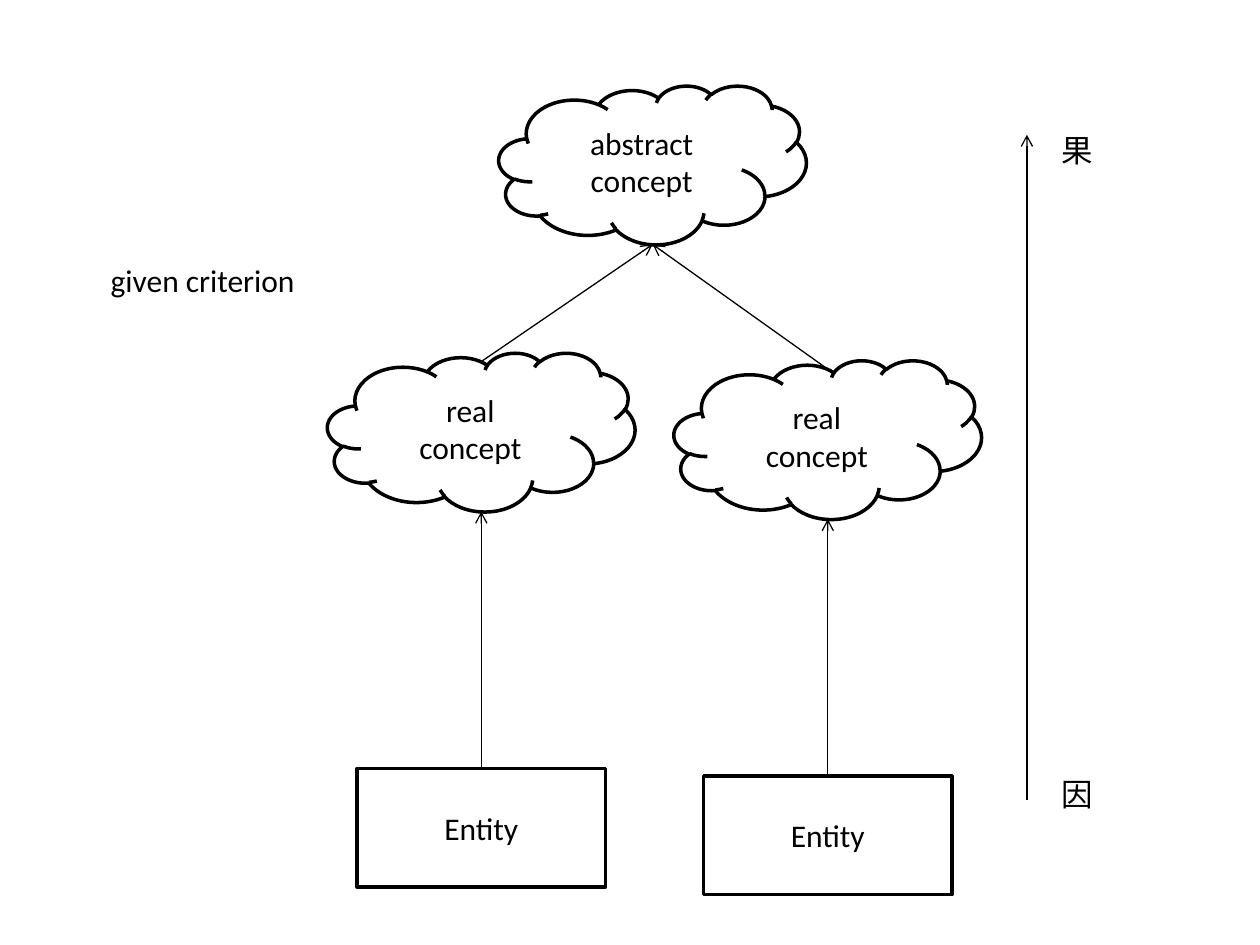
from pptx import Presentation
from pptx.dml.color import RGBColor
from pptx.enum.shapes import MSO_CONNECTOR as Connector, MSO_SHAPE as Shape
from pptx.enum.text import MSO_ANCHOR as Anchor, MSO_AUTO_SIZE as AutoSize, PP_ALIGN as Align
from pptx.oxml.ns import qn
from pptx.util import Inches, Pt
from lxml.etree import SubElement

INK, PAPER = "000000", "FFFFFF"
BOTTOM_OF_BRANCH = 4.24
CLOUD_W, CLOUD_H = 2.44, 1.26
ENTITY_W, ENTITY_H = 1.97, 0.94


def paint(color_format, hex_code):
    color_format.rgb = RGBColor.from_string(hex_code)


def write(frame, wording, align):
    frame.text = wording
    for paragraph in frame.paragraphs:
        paragraph.alignment = align
        for run in paragraph.runs:
            run.font.name = "Calibri"
            run.font.size = Pt(18)
            paint(run.font.color, INK)


def add_node(shapes, kind, wording, left, top, width, height):
    node = shapes.add_shape(kind, *map(Inches, (left, top, width, height)))
    node.shadow.inherit = False
    node.fill.solid()
    paint(node.fill.fore_color, PAPER)
    paint(node.line.color, INK)
    node.line.width = Pt(2)
    node.text_frame.vertical_anchor = Anchor.MIDDLE
    write(node.text_frame, wording, Align.CENTER)
    return node


def add_label(shapes, wording, left, top, width, height=0.4):
    label = shapes.add_textbox(*map(Inches, (left, top, width, height)))
    label.text_frame.word_wrap = False
    label.text_frame.auto_size = AutoSize.SHAPE_TO_FIT_TEXT
    write(label.text_frame, wording, Align.LEFT)


def add_arrow(shapes, start, end):
    arrow = shapes.add_connector(Connector.STRAIGHT, *map(Inches, (*start, *end)))
    paint(arrow.line.color, INK)
    arrow.line.width = Pt(0.75)
    SubElement(arrow.line._get_or_add_ln(), qn("a:tailEnd"), type="arrow")
    SubElement(arrow._element.spPr, qn("a:effectLst"))
    return arrow


def add_branch(shapes, left, top, width, height):
    center = left + width / 2
    entity_top = top + height - ENTITY_H
    add_node(shapes, Shape.CLOUD, "real\nconcept", left, top, width, CLOUD_H)
    entity = add_node(shapes, Shape.RECTANGLE, "Entity",
                      center - ENTITY_W / 2, entity_top, ENTITY_W, ENTITY_H)
    rise = add_arrow(shapes, (center, entity_top), (center, top + CLOUD_H))
    rise.begin_connect(entity, 0)
    return center, top + 0.07


def add_abstraction(shapes, left, top, width, height, branch_tops):
    add_node(shapes, Shape.CLOUD, "abstract\nconcept", left, top, width, height)
    for branch_top in branch_tops:
        add_arrow(shapes, branch_top, (left + width / 2, top + height))


def add_causal_axis(shapes, left, top, width, height):
    axis = shapes.add_group_shape().shapes
    label_w = 0.45
    label_left = left + width - label_w
    add_arrow(axis, (left, top + height - 0.15), (left, top + 0.08))
    add_label(axis, "因", label_left, top + height - 0.4, label_w)
    add_label(axis, "果", label_left, top, label_w)


def main():
    deck = Presentation()
    deck.slide_width, deck.slide_height = Inches(10), Inches(7.5)
    shapes = deck.slides.add_slide(deck.slide_layouts[6]).shapes
    branch_tops = [add_branch(shapes, left, top, CLOUD_W, BOTTOM_OF_BRANCH)
                   for left, top in ((2.6, 2.8), (5.35, 2.86))]
    add_abstraction(shapes, 3.96, 0.68, CLOUD_W, CLOUD_H, branch_tops)
    add_label(shapes, "given criterion", 0.78, 2.02, 1.68)
    add_causal_axis(shapes, 8.15, 0.99, 0.63, 5.51)
    deck.save("out.pptx")


if __name__ == "__main__":
    main()
